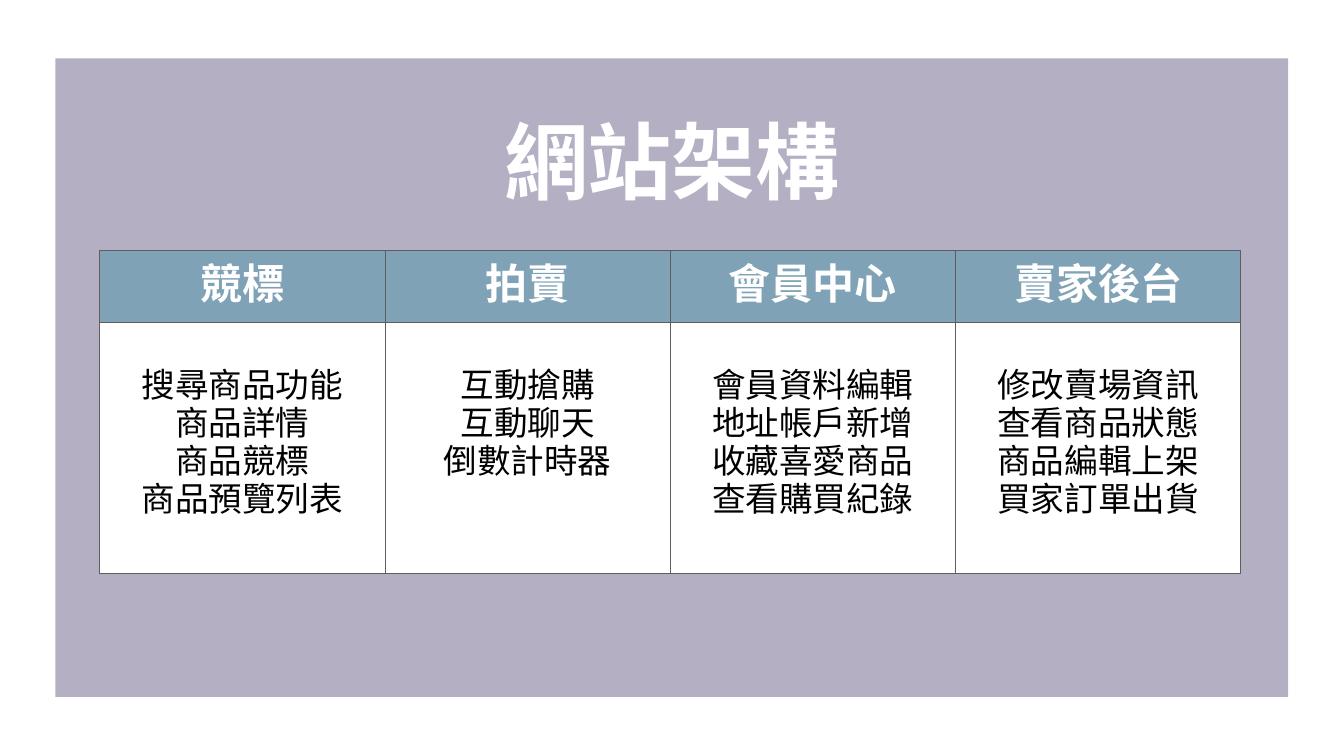
from lxml import etree
from pptx import Presentation
from pptx import util as u
from pptx.dml.color import RGBColor
from pptx.enum import shapes, text
from pptx.oxml.ns import qn

WHITE = RGBColor(0xFF, 0xFF, 0xFF)
BLACK = RGBColor(0x00, 0x00, 0x00)
LILAC = RGBColor(0xB5, 0xAF, 0xC4)
BLUE = RGBColor(0x7F, 0xA2, 0xB6)
GREY = RGBColor(0x5E, 0x5E, 0x5E)
SANS = "Noto Sans CJK SC"
INSET = u.Inches(0.06)
LINE_PITCH = u.Pt(54)

SECTIONS = {
    "競標": ["搜尋商品功能", "商品詳情", "商品競標", "商品預覽列表"],
    "拍賣": ["互動搶購", "互動聊天", "倒數計時器"],
    "會員中心": ["會員資料編輯", "地址帳戶新增", "收藏喜愛商品", "查看購買紀錄"],
    "賣家後台": ["修改賣場資訊", "查看商品狀態", "商品編輯上架", "買家訂單出貨"],
}


def style(paragraph, size, color, bold, face, spacing):
    paragraph.alignment = text.PP_ALIGN.CENTER
    paragraph.line_spacing = spacing
    font = paragraph.font
    font.size, font.bold, font.name = u.Pt(size), bold, face
    font.color.rgb = color
    # East Asian typeface
    defaults = paragraph._p.pPr.find(qn("a:defRPr"))
    etree.SubElement(defaults, qn("a:ea"), typeface=face)


def format_cell(cell, fill):
    cell.margin_left = cell.margin_right = INSET
    cell.margin_top = cell.margin_bottom = INSET
    cell.vertical_anchor = text.MSO_ANCHOR.MIDDLE
    properties = cell._tc.get_or_add_tcPr()
    for side in ("lnL", "lnR", "lnT", "lnB"):
        border = etree.SubElement(properties, qn(f"a:{side}"), w=str(u.Pt(1)))
        solid = etree.SubElement(border, qn("a:solidFill"))
        etree.SubElement(solid, qn("a:srgbClr"), val=str(GREY))
    cell.fill.solid()
    cell.fill.fore_color.rgb = fill


prs = Presentation()
prs.slide_width, prs.slide_height = u.Inches(26.67), u.Inches(15)
slide = prs.slides.add_slide(prs.slide_layouts[6])

# Background panel
panel = slide.shapes.add_shape(
    shapes.MSO_SHAPE.RECTANGLE,
    u.Inches(1.1), u.Inches(1.16), u.Inches(24.46), u.Inches(12.67))
panel.shadow.inherit = False
panel.fill.solid()
panel.fill.fore_color.rgb = LILAC
panel.line.fill.background()

# Title
title = slide.shapes.add_textbox(
    u.Inches(4.51), u.Inches(1.12), u.Inches(17.65), u.Inches(4.58)).text_frame
title.word_wrap = True
title.vertical_anchor = text.MSO_ANCHOR.MIDDLE
title.margin_left = title.margin_right = INSET
title.margin_top = title.margin_bottom = INSET
title.text = "網站架構"
style(title.paragraphs[0], 120, WHITE, True, SANS, 0.7)

# Site structure: one column per section
structure = slide.shapes.add_table(
    2, len(SECTIONS),
    u.Inches(1.98), u.Inches(4.97), u.Inches(22.64), u.Inches(6.4)).table
structure.rows[0].height = u.Inches(1.42)
structure.rows[1].height = u.Inches(4.98)
most_features = max(map(len, SECTIONS.values()))

for column, (section, features) in enumerate(SECTIONS.items()):
    structure.columns[column].width = u.Inches(5.66)

    heading = structure.cell(0, column)
    format_cell(heading, BLUE)
    heading.text = section
    style(heading.text_frame.paragraphs[0], 60, WHITE, True, "Roboto", 0.9)

    body = structure.cell(1, column)
    format_cell(body, WHITE)
    # Shorter lists start level with the longest one
    body.margin_bottom = INSET + (most_features - len(features)) * LINE_PITCH
    body.text = "\n".join(features)
    for row, paragraph in enumerate(body.text_frame.paragraphs):
        if row:
            paragraph.space_before = u.Pt(6)
        style(paragraph, 48, BLACK, False, SANS, u.Pt(48))

prs.save("out.pptx")
